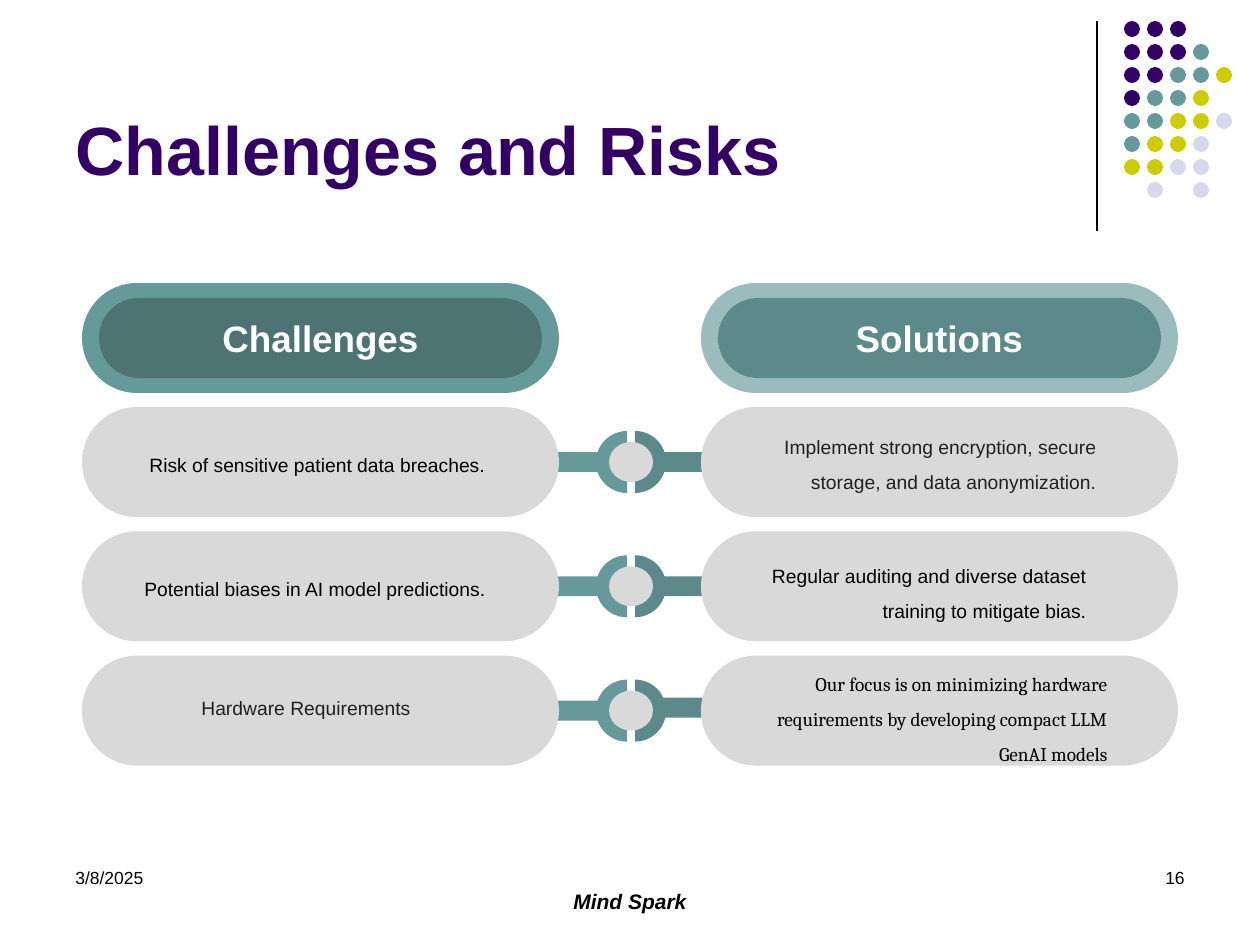
from lxml import etree
from pptx import Presentation
from pptx.dml.color import RGBColor
from pptx.enum.shapes import MSO_CONNECTOR, MSO_SHAPE
from pptx.enum.text import MSO_ANCHOR, PP_ALIGN
from pptx.oxml.ns import qn
from pptx.util import Emu, Pt

OVAL, RECT = MSO_SHAPE.OVAL, MSO_SHAPE.RECTANGLE
PILL, ARC = MSO_SHAPE.ROUNDED_RECTANGLE, MSO_SHAPE.BLOCK_ARC
LEFT, CENTER, RIGHT = PP_ALIGN.LEFT, PP_ALIGN.CENTER, PP_ALIGN.RIGHT
TOP, MIDDLE, BOTTOM = MSO_ANCHOR.TOP, MSO_ANCHOR.MIDDLE, MSO_ANCHOR.BOTTOM
EMU_PER_PX = 914400 / 126

COLORS = {
    "purple": "330066", "teal": "669999", "lime": "CCCC00", "lavender": "D8D8EC",
    "deep": "5C8A8A", "dark": "4D7373", "pale": "9ABCBC", "gray": "D9D9D9",
    "black": "000000", "ink": "202020", "white": "FFFFFF",
}

# Content: boxes are left, top, width, height in px
DOT_ROWS = ["PPP", "PPPT", "PPTTL", "PTTL", "TTLLV", "TLLV", "LLVV", " V V"]
DOT_COLORS = {"P": "purple", "T": "teal", "L": "lime", "V": "lavender"}

TITLE = ("Challenges and Risks", (63, 16, 1040, 179))
FOOTERS = [
    ("3/8/2025", (63, 861, 294, 63), {"size": 10}, LEFT),
    ("Mind Spark", (399, 882, 462, 42), {"size": 12, "bold": True, "italic": True}, CENTER),
    ("16", (903, 861, 294, 63), {"size": 10}, RIGHT),
]
# Heading, left edge, outer colour, inner colour
COLUMNS = [("Challenges", 82, "teal", "dark"), ("Solutions", 701, "pale", "deep")]
# Text, box, colour, font, alignment
ENTRIES = [
    ("Risk of sensitive patient data breaches.",
     (137, 435, 393, 43), "black", "Arial", LEFT),
    ("Potential biases in AI model predictions.",
     (132, 559, 392, 43), "black", "Arial", LEFT),
    ("Hardware Requirements", (189, 678, 338, 43), "ink", "Arial", LEFT),
    ("Implement strong encryption, secure storage, and data anonymization.",
     (714, 418, 395, 113), "ink", "Arial", RIGHT),
    ("Regular auditing and diverse dataset training to mitigate bias.",
     (740, 547, 359, 78), "black", "Arial", RIGHT),
    ("Our focus is on minimizing hardware requirements by developing compact LLM GenAI models",
     (732, 655, 388, 113), "black", "Cambria", RIGHT),
]

# Layout
DOT_LEFT, DOT_TOP, DOT_STEP, DOT_SIZE = 1124, 21, 23, 16
HEADER_TOP, PILL_WIDTH, PILL_HEIGHT = 283, 477, 110
INSET_X, INSET_Y = 17, 15
ROW_TOPS = [407 + 124.3 * row for row in range(3)]
RIGHT_BAR_LIFTS = [0, 0, 3]
RING_SIZE = 62


def px(value):
    return Emu(round(value * EMU_PER_PX))


def rgb(name):
    return RGBColor.from_string(COLORS[name])


def add_shape(slide, kind, box, color, adjustments=(), rotation=0):
    shape = slide.shapes.add_shape(kind, *map(px, box))
    shape.shadow.inherit = False
    shape.fill.solid()
    shape.fill.fore_color.rgb = rgb(color)
    shape.line.fill.background()
    shape.rotation = rotation
    for index, value in enumerate(adjustments):
        shape.adjustments[index] = value
    return shape


def write(shape, text, color, font_values, align=LEFT, anchor=TOP, spacing=None):
    frame = shape.text_frame
    frame.word_wrap = True
    frame.vertical_anchor = anchor
    paragraph = frame.paragraphs[0]
    paragraph.alignment = align
    paragraph.line_spacing = spacing
    run = paragraph.add_run()
    run.text = text
    values = {"name": "Arial", **font_values}
    values["size"] = Pt(values["size"])
    for name, value in values.items():
        setattr(run.font, name, value)
    run.font.color.rgb = rgb(color)


def add_text(slide, text, box, color, font_values, **layout):
    write(slide.shapes.add_textbox(*map(px, box)), text, color, font_values, **layout)


def add_decoration(slide):
    line = slide.shapes.add_connector(
        MSO_CONNECTOR.STRAIGHT, px(1097), px(21), px(1097), px(231))
    line.line.color.rgb = rgb("black")
    line.line.width = Pt(0.75)
    etree.SubElement(line._element.spPr, qn("a:effectLst"))
    for row, pattern in enumerate(DOT_ROWS):
        for column, key in enumerate(pattern):
            if key in DOT_COLORS:
                box = (DOT_LEFT + column * DOT_STEP, DOT_TOP + row * DOT_STEP,
                       DOT_SIZE, DOT_SIZE)
                add_shape(slide, OVAL, box, DOT_COLORS[key])


def add_link(slide, top, right_lift):
    """Two bars meeting in a split ring, drawn behind the pills."""
    add_shape(slide, RECT, (655, top + 45 - right_lift, 57, 20), "deep")
    add_shape(slide, RECT, (545, top + 45, 57, 20), "teal")
    for left, rotation, color in [(596, 270, "teal"), (604, 90, "deep")]:
        add_shape(slide, ARC, (left, top + 24, RING_SIZE, RING_SIZE), color,
                  (107.78, 0, 0.23), rotation)
    add_shape(slide, OVAL, (609, top + 35, 44, 40), "gray")


def add_column(slide, heading, left, outer, inner):
    for top in ROW_TOPS:
        add_shape(slide, PILL, (left, top, PILL_WIDTH, PILL_HEIGHT), "gray", (0.5,))
    add_shape(slide, PILL, (left, HEADER_TOP, PILL_WIDTH, PILL_HEIGHT), outer, (0.5,))
    box = (left + INSET_X, HEADER_TOP + INSET_Y,
           PILL_WIDTH - 2 * INSET_X, PILL_HEIGHT - 2 * INSET_Y)
    header = add_shape(slide, PILL, box, inner, (0.5,))
    write(header, heading, "white", {"size": 21, "bold": True}, CENTER, MIDDLE)


def main():
    presentation = Presentation()
    presentation.slide_width, presentation.slide_height = px(1260), px(945)
    slide = presentation.slides.add_slide(presentation.slide_layouts[6])

    # Corner dots, footer and title
    add_decoration(slide)
    for text, box, font_values, align in FOOTERS:
        add_text(slide, text, box, "black", font_values, align=align)
    add_text(slide, *TITLE, "purple", {"size": 39, "bold": True}, anchor=BOTTOM)

    # Links, then the two columns of pills, then their texts
    for top, lift in zip(ROW_TOPS, RIGHT_BAR_LIFTS):
        add_link(slide, top, lift)
    for column in COLUMNS:
        add_column(slide, *column)
    for text, box, color, font, align in ENTRIES:
        add_text(slide, text, box, color, {"name": font, "size": 11},
                 align=align, spacing=1.5)

    presentation.save("out.pptx")


if __name__ == "__main__":
    main()
